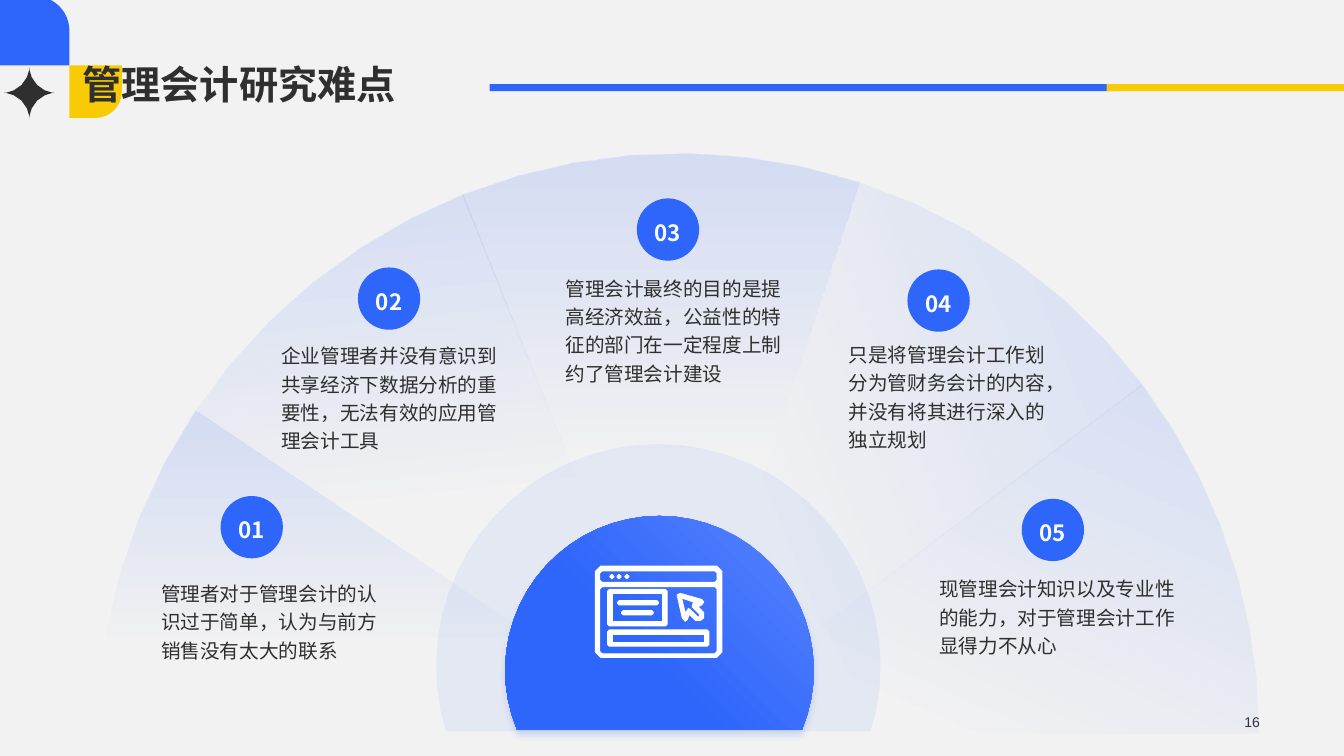
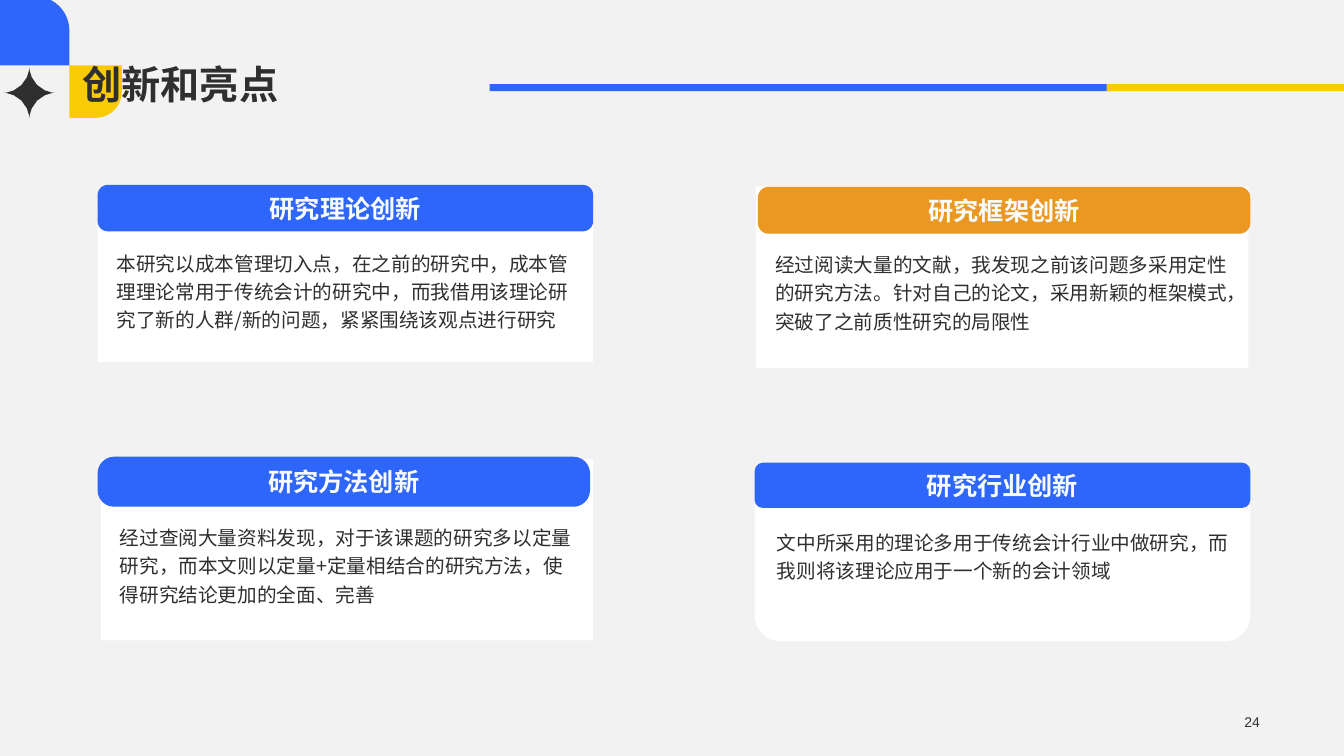
"""Build two slides on research in management accounting."""
from math import ceil, copysign, cos, radians, sin
from lxml import etree
from pptx import Presentation
from pptx.dml.color import RGBColor
from pptx.enum.shapes import MSO_SHAPE
from pptx.enum.text import MSO_ANCHOR, PP_ALIGN
from pptx.oxml.ns import qn
from pptx.util import Cm, Pt

RECT, OVAL = MSO_SHAPE.RECTANGLE, MSO_SHAPE.OVAL
ROUND, CORNER = MSO_SHAPE.ROUNDED_RECTANGLE, MSO_SHAPE.ROUND_1_RECTANGLE
LEFT, CENTER, RIGHT = PP_ALIGN.LEFT, PP_ALIGN.CENTER, PP_ALIGN.RIGHT
TOP, MIDDLE, BOTTOM = MSO_ANCHOR.TOP, MSO_ANCHOR.MIDDLE, MSO_ANCHOR.BOTTOM

WIDE, HIGH = 33.87, 19.05
BLUE, SKY, GOLD, AMBER = "2E65FB", "5884FC", "F9CB05", "EB9823"
INK, PALE, WHITE, PAPER = "2F2F2F", "F9FCFF", "FFFFFF", "F2F2F2"
FACE, LATIN = "Noto Sans CJK SC", "Arial"

HUB, RIM = (17.09, 18.49), 14.63
EDGES = [180.9, 146.2, 111.8, 71.8, 37, 0]
FAN = [
    dict(hole=3.91, turn=0, flow=90, fade=69, badge=(5.56, 12.5), box=(4.06, 14.55, 5.72, 2.08),
         words="管理者对于管理会计的认识过于简单，认为与前方销售没有太大的联系"),
    dict(hole=5.92, turn=-6, flow=90, fade=69, badge=(9.02, 6.74), box=(7.09, 8.56, 5.51, 2.82),
         words="企业管理者并没有意识到共享经济下数据分析的重要性，无法有效的应用管理会计工具"),
    dict(hole=3.99, turn=0, flow=90, fade=69, badge=(16.05, 5), box=(14.25, 6.86, 5.51, 2.82),
         words="管理会计最终的目的是提高经济效益，公益性的特征的部门在一定程度上制约了管理会计建设"),
    dict(hole=2.69, turn=68.2, flow=90, fade=69, badge=(22.87, 6.79), box=(21.39, 8.53, 5.33, 2.82),
         words="只是将管理会计工作划分为管财务会计的内容，并没有将其进行深入的独立规划"),
    dict(hole=4.55, turn=143.9, flow=330, fade=66, badge=(25.75, 12.57), box=(23.67, 14.43, 6, 2.08),
         words="现管理会计知识以及专业性的能力，对于管理会计工作显得力不从心"),
]
CARDS = [
    dict(name="研究理论创新", hue=BLUE, head=(2.46, 4.66, 12.49, 1.17), bend=0.22,
         panel=(2.46, 5.26, 12.49, 3.87), kind=RECT, box=(2.94, 6.22, 11.71, 2.08),
         words="本研究以成本管理切入点，在之前的研究中，成本管理理论常用于传统会计的研究中，"
               "而我借用该理论研究了新的人群/新的问题，紧紧围绕该观点进行研究"),
    dict(name="研究行业创新", hue=BLUE, head=(19.02, 11.66, 12.49, 1.14), bend=0.18,
         panel=(19.02, 12.22, 12.49, 3.94), kind=ROUND, box=(19.58, 13.26, 11.71, 1.37),
         words="文中所采用的理论多用于传统会计行业中做研究，而我则将该理论应用于一个新的会计领域"),
    dict(name="研究框架创新", hue=AMBER, head=(19.1, 4.71, 12.41, 1.18), bend=0.23,
         panel=(19.05, 4.71, 12.41, 4.56), kind=RECT, box=(19.54, 6.26, 11.63, 2.08),
         words="经过阅读大量的文献，我发现之前该问题多采用定性的研究方法。"
               "针对自己的论文，采用新颖的框架模式，突破了之前质性研究的局限性"),
    dict(name="研究方法创新", hue=BLUE, head=(2.46, 11.51, 12.41, 1.26), bend=0.33,
         panel=(2.54, 11.57, 12.41, 4.57), kind=RECT, box=(3.02, 13.14, 11.63, 2.08),
         words="经过查阅大量资料发现，对于该课题的研究多以定量研究，"
               "而本文则以定量+定量相结合的研究方法，使得研究结论更加的全面、完善"),
]
PANES = [(15.01, 14.27, 18.19, 16.56, 0.13), (15.11, 14.78, 18.08, 16.48, 0.06),
         (15.11, 14.38, 18.08, 14.68, 0.06), (15.32, 14.86, 16.81, 15.77, 0.04),
         (15.42, 14.96, 16.71, 15.67, 0), (15.57, 15.14, 16.59, 15.24, 0.04),
         (15.67, 15.39, 16.46, 15.49, 0.04), (15.32, 15.88, 17.86, 16.28, 0.04),
         (15.42, 15.98, 17.75, 16.2, 0)]
DOTS = [(x, 14.48, x + 0.1, 14.58, 0.05) for x in (15.37, 15.55, 15.75)]
ARROWS = [
    [(17.07, 14.99), (17.15, 14.96), (17.68, 15.11), (17.73, 15.17), (17.68, 15.24),
     (17.58, 15.29), (17.73, 15.44), (17.73, 15.57), (17.65, 15.63), (17.53, 15.63),
     (17.37, 15.47), (17.32, 15.6), (17.27, 15.65), (17.2, 15.57)],
    [(17.17, 15.06), (17.27, 15.47), (17.35, 15.34), (17.4, 15.37), (17.6, 15.57),
     (17.65, 15.49), (17.45, 15.29), (17.47, 15.21), (17.55, 15.19)],
]


def tint(code):
    """Turn a hex string into a colour."""
    return RGBColor.from_string(code)


def paint(shape, fill, line=None):
    """Set a plain fill and line and drop the shadow."""
    shape.shadow.inherit = False
    shape.fill.solid()
    shape.fill.fore_color.rgb = tint(fill)
    if line:
        shape.line.color.rgb = tint(line)
        shape.line.width = Pt(1)
    else:
        shape.line.fill.background()
    return shape


def blend(shape, first, last, end, flow):
    """Fill with a gradient that flows clockwise by degrees."""
    shape.fill.gradient()
    shape.fill.gradient_angle = 360 - flow
    for stop, code, spot in zip(shape.fill.gradient_stops, (first, last), (0, end)):
        stop.color.rgb = tint(code)
        stop.position = spot / 100


def sheer(shape, *shares):
    """Give each fill colour its opacity in percent."""
    for mark, share in zip(list(shape.element.spPr.iter(qn("a:srgbClr"))), shares):
        etree.SubElement(mark, qn("a:alpha"), val=str(share * 1000))


def glow(shape):
    """Add a soft blue shadow below the shape."""
    effects = shape.element.spPr.find(qn("a:effectLst"))
    cast = etree.SubElement(effects, qn("a:outerShdw"), blurRad=str(Pt(4.9)),
                            dist=str(Pt(3.2)), dir="5400000", algn="t", rotWithShape="0")
    mark = etree.SubElement(cast, qn("a:srgbClr"), val=BLUE)
    etree.SubElement(mark, qn("a:alpha"), val="20000")


def put(slide, kind, box, fill, bend=None):
    """Add a preset shape."""
    shape = slide.shapes.add_shape(kind, *map(Cm, box))
    if bend is not None:
        shape.adjustments[0] = bend
    return paint(shape, fill)


def trace(slide, loops, fill, line=None):
    """Add one outline made of closed loops."""
    pen = None
    for loop in loops:
        first, *rest = [(Cm(x), Cm(y)) for x, y in loop]
        if pen is None:
            pen = slide.shapes.build_freeform(*first, scale=1.0)
        else:
            pen.move_to(*first)
        pen.add_line_segments(rest, close=True)
    return paint(pen.convert_to_shape(), fill, line)


def arc(mid, size, start, end, step=6):
    """List points on a circle between two angles."""
    count = ceil(abs(end - start) / step)
    turns = [radians(start + (end - start) * i / count) for i in range(count + 1)]
    return [(mid[0] + size * cos(t), mid[1] - size * sin(t)) for t in turns]


def pane(left, top, right, low, cut):
    """List the points of a box with cut corners."""
    if not cut:
        return [(left, top), (right, top), (right, low), (left, low)]
    return [(left + cut, top), (right - cut, top), (right, top + cut), (right, low - cut),
            (right - cut, low), (left + cut, low), (left, low - cut), (left, top + cut)]


def write(shape, words, size=14, bold=False, hue=INK, align=LEFT, anchor=TOP,
          space=1.2, pad=0, face=FACE):
    """Write one formatted paragraph into a shape."""
    frame = shape.text_frame
    frame.word_wrap = True
    frame.vertical_anchor = anchor
    frame.margin_left = frame.margin_right = Cm(pad)
    frame.margin_top = frame.margin_bottom = Cm(pad / 2)
    para = frame.paragraphs[0]
    para.alignment, para.line_spacing = align, space
    run = para.add_run()
    run.text = words
    font = run.font
    font.size, font.bold, font.name = Pt(size), bold, face
    font.color.rgb = tint(hue)
    latin = next(para.runs[0].font.fill and shape.element.iter(qn("a:latin")))
    latin.addnext(etree.Element(qn("a:ea"), typeface=FACE))


def note(slide, box, words, **style):
    """Add a text box."""
    write(slide.shapes.add_textbox(*map(Cm, box)), words, **style)


def start(deck, title, page):
    """Add a slide with the shared marks, title and page number."""
    slide = deck.slides.add_slide(deck.slide_layouts[6])
    put(slide, RECT, (0, 0, WIDE, HIGH), PAPER)
    put(slide, CORNER, (1.75, 1.65, 1.32, 1.32), GOLD, 0.5).rotation = 90
    put(slide, CORNER, (0, -0.1, 1.75, 1.75), BLUE, 0.5)
    star = [(copysign(abs(x) ** 3.4, x), copysign(abs(y) ** 3.4, y))
            for x, y in arc((0, 0), 1, 0, 360, 15)]
    trace(slide, [[(0.74 + 0.64 * x, 2.34 + 0.64 * y) for x, y in star]], INK)
    put(slide, RECT, (12.34, 2.12, 15.65, 0.18), BLUE)
    put(slide, RECT, (27.89, 2.12, 5.98, 0.18), GOLD)
    note(slide, (1.83, 0, 30.18, 2.84), title, size=28, bold=True, anchor=BOTTOM,
         space=0.9, pad=0.25, face=LATIN)
    note(slide, (24.61, 17.88, 7.39, 0.61), page, size=10, align=RIGHT,
         anchor=MIDDLE, space=1, pad=0.25, face=LATIN)
    return slide


def wedge(slide, part, begin, end):
    """Draw one sector, turned so that its gradient turns too."""
    turn = part["turn"]
    begin, end = begin + turn, end + turn
    shape = trace(slide, [arc(HUB, RIM, begin, end) + arc(HUB, part["hole"], end, begin, 12)], BLUE)
    blend(shape, BLUE, BLUE, part["fade"], part["flow"])
    sheer(shape, 15, 0)
    hub_x, hub_y = map(Cm, HUB)
    x = shape.left + shape.width / 2 - hub_x
    y = shape.top + shape.height / 2 - hub_y
    c, s = cos(radians(turn)), sin(radians(turn))
    shape.left = int(hub_x + x * c - y * s - shape.width / 2)
    shape.top = int(hub_y + x * s + y * c - shape.height / 2)
    shape.rotation = turn


def fan(deck):
    """Build the slide with five sectors."""
    slide = start(deck, "管理会计研究难点", "16")
    sheer(trace(slide, [arc((16.59, 16.79), 5.6, 197, -17)], BLUE), 7)
    for i, part in enumerate(FAN):
        wedge(slide, part, EDGES[i], EDGES[i + 1])
        note(slide, part["box"], part["words"])
        badge = put(slide, OVAL, (*part["badge"], 1.57, 1.57), BLUE)
        write(badge, f"{i + 1:02}", size=16, bold=True, hue=PALE, align=CENTER, anchor=MIDDLE)
    dome = trace(slide, [arc((16.62, 16.89), 3.89, 202.7, -22.7)], BLUE)
    blend(dome, SKY, BLUE, 60, 135)
    glow(dome)
    trace(slide, [pane(*box) for box in PANES + DOTS] + ARROWS, WHITE, WHITE)


def cards(deck):
    """Build the slide with four cards."""
    slide = start(deck, "创新和亮点", "24")
    for card in CARDS:
        put(slide, card["kind"], card["panel"], WHITE)
        note(slide, card["box"], card["words"])
        head = put(slide, ROUND, card["head"], card["hue"], card["bend"])
        write(head, card["name"], size=18, bold=True, hue=PALE, align=CENTER,
              anchor=MIDDLE, space=1, pad=0.25)


def main():
    """Build and save the deck."""
    deck = Presentation()
    deck.slide_width, deck.slide_height = Cm(WIDE), Cm(HIGH)
    fan(deck)
    cards(deck)
    deck.save("out.pptx")


if __name__ == "__main__":
    main()
